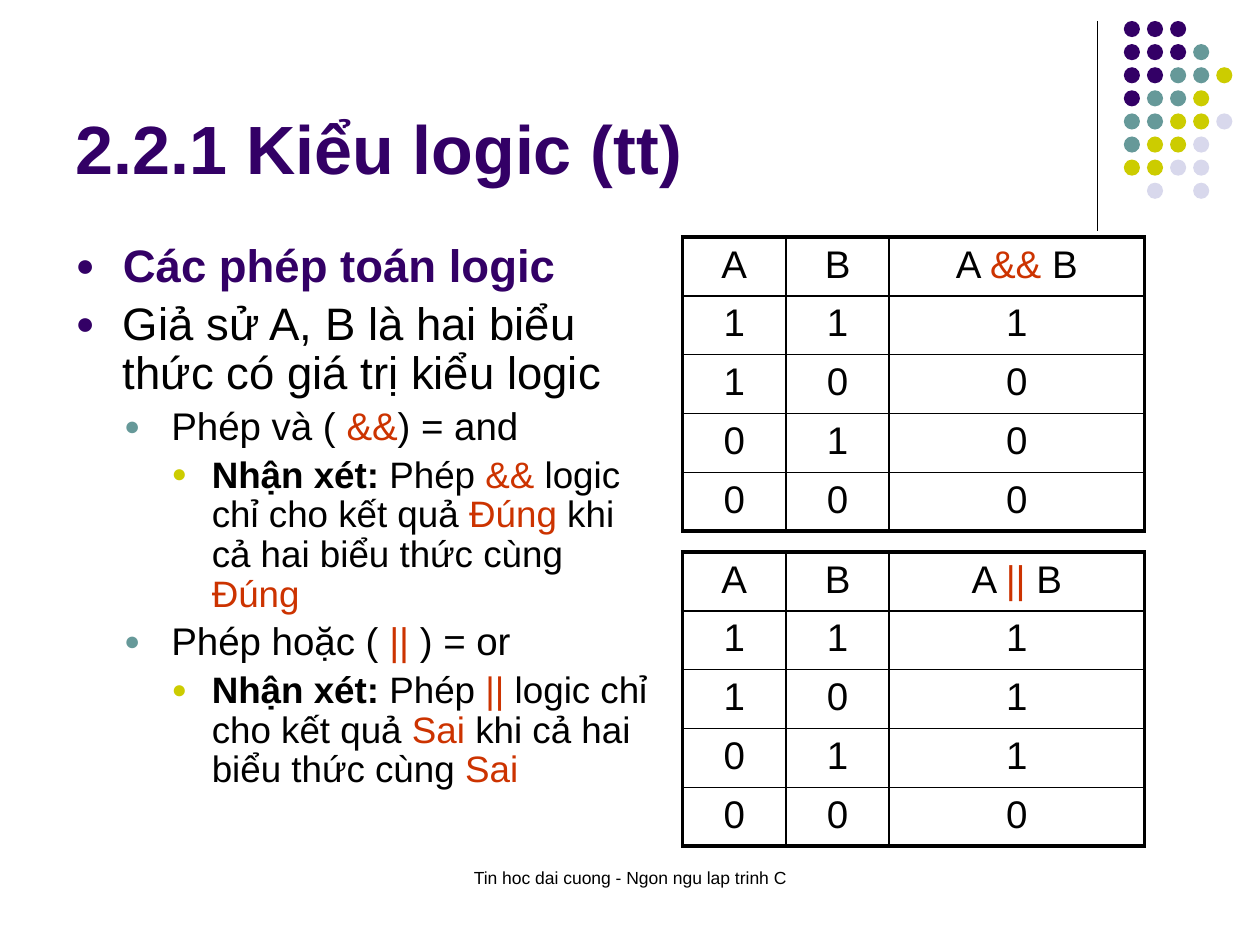
from dataclasses import dataclass
from lxml.etree import SubElement
from pptx import Presentation
from pptx.dml.color import RGBColor
from pptx.enum.shapes import MSO_CONNECTOR, MSO_SHAPE
from pptx.enum.text import MSO_ANCHOR, MSO_AUTO_SIZE, PP_ALIGN
from pptx.oxml.ns import qn
from pptx.util import Pt


@dataclass(frozen=True)
class Theme:
    font: str = "Arial"
    purple: str = "330066"
    teal: str = "669999"
    yellow: str = "CCCC00"
    lilac: str = "D8D8EC"
    black: str = "000000"
    red: str = "CC3300"
    title: int = 39
    body: tuple = (26, 22, 21)
    cell: int = 22
    footer: int = 10


T = Theme()
BULLETS = ((27, 27, T.purple), (54.7, 27, T.teal), (77.8, 23, T.yellow))
DOTS = ("PPP", "PPPT", "PPTTY", "PTTY", "TTYYL", "TYYL", "YYLL", " L L")
DOT_COLORS = {"P": T.purple, "T": T.teal, "Y": T.yellow, "L": T.lilac}
HEADING = {"color": T.purple, "bold": True}
RED = {"color": T.red}
BOLD = {"bold": True}


def apply(obj, **fmt):
    for name, value in fmt.items():
        setattr(obj, name, value)


def place(sp, left, top, width, height):
    apply(sp, left=Pt(left), top=Pt(top), width=Pt(width), height=Pt(height))


def add_runs(p, parts, size):
    for part in parts:
        text, style = part if isinstance(part, tuple) else (part, {})
        r = p.add_run()
        r.text = text
        apply(r.font, name=T.font, size=Pt(size), bold=style.get("bold", False))
        r.font.color.rgb = RGBColor.from_string(style.get("color", T.black))


def add_bullet(p, level):
    left, hang, color = BULLETS[level]
    pPr = p._p.get_or_add_pPr()
    pPr.set("marL", str(Pt(left)))
    pPr.set("indent", str(-Pt(hang)))
    SubElement(SubElement(pPr, qn("a:buClr")), qn("a:srgbClr"), val=color)
    SubElement(pPr, qn("a:buSzPct"), val="70000")
    SubElement(pPr, qn("a:buFont"), typeface=T.font)
    SubElement(pPr, qn("a:buChar"), char="●")


def fill_title(sp, text):
    place(sp, 36, 9.4, 594, 102)
    tf = sp.text_frame
    apply(tf, vertical_anchor=MSO_ANCHOR.BOTTOM, word_wrap=True, auto_size=MSO_AUTO_SIZE.NONE)
    p = tf.paragraphs[0]
    p.alignment = PP_ALIGN.LEFT
    add_runs(p, [(text, HEADING)], T.title)


def fill_body(sp, items):
    place(sp, 36, 135.4, 342, 347)
    tf = sp.text_frame
    apply(tf, word_wrap=True, auto_size=MSO_AUTO_SIZE.NONE, vertical_anchor=MSO_ANCHOR.TOP)
    for i, (level, parts) in enumerate(items):
        p = tf.add_paragraph() if i else tf.paragraphs[0]
        size = T.body[level]
        apply(p, level=level, line_spacing=0.9, space_before=Pt(size * 0.2))
        add_bullet(p, level)
        add_runs(p, parts, size)


def add_footer(slide, text):
    sp = slide.shapes.add_textbox(Pt(246), Pt(492), Pt(228), Pt(36))
    sp.text_frame.word_wrap = True
    p = sp.text_frame.paragraphs[0]
    p.alignment = PP_ALIGN.CENTER
    add_runs(p, [text], T.footer)


def add_rule(slide, x, top, bottom):
    cx = slide.shapes.add_connector(MSO_CONNECTOR.STRAIGHT, Pt(x), Pt(top), Pt(x), Pt(bottom))
    cx.line.width = Pt(0.75)
    cx.line.color.rgb = RGBColor.from_string(T.black)
    SubElement(cx._element.spPr, qn("a:effectLst"))


def add_dots(slide, left, top, pitch, size):
    group = slide.shapes.add_group_shape()
    for row, codes in enumerate(DOTS):
        for col, code in enumerate(codes):
            if code == " ":
                continue
            sp = group.shapes.add_shape(MSO_SHAPE.OVAL, Pt(left + col * pitch),
                                        Pt(top + row * pitch), Pt(size), Pt(size))
            sp.shadow.inherit = False
            sp.fill.solid()
            sp.fill.fore_color.rgb = RGBColor.from_string(DOT_COLORS[code])
            sp.line.fill.background()


def set_borders(cell, widths):
    tcPr = cell._tc.get_or_add_tcPr()
    for side, width in widths.items():
        ln = SubElement(tcPr, qn(f"a:ln{side}"), w=str(Pt(width)))
        SubElement(SubElement(ln, qn("a:solidFill")), qn("a:srgbClr"), val=T.black)


def add_truth_table(slide, top, operator, operation):
    header = [["A"], ["B"], ["A ", (operator, RED), " B"]]
    rows = [header] + [[[str(v)] for v in (a, b, operation(a, b))]
                       for a in (1, 0) for b in (1, 0)]
    widths, height = (59.1, 59.1, 145.8), 33.6
    frame = slide.shapes.add_table(len(rows), len(widths), Pt(390), Pt(top),
                                   Pt(sum(widths)), Pt(height * len(rows)))
    table = frame.table
    apply(table, first_row=False, horz_banding=False)
    for column, width in zip(table.columns, widths):
        column.width = Pt(width)
    for i, row in enumerate(rows):
        table.rows[i].height = Pt(height)
        for j, parts in enumerate(row):
            cell = table.cell(i, j)
            edges = {"L": j == 0, "R": j == len(widths) - 1,
                     "T": i == 0, "B": i == len(rows) - 1}
            set_borders(cell, {side: 2.25 if outer else 1 for side, outer in edges.items()})
            cell.fill.background()
            p = cell.text_frame.paragraphs[0]
            p.alignment = PP_ALIGN.CENTER
            add_runs(p, parts, T.cell)


def main():
    prs = Presentation()
    apply(prs, slide_width=Pt(720), slide_height=Pt(540))
    slide = prs.slides.add_slide(prs.slide_layouts[1])
    title, body = slide.placeholders
    add_rule(slide, 627, 12, 132)
    add_dots(slide, 642.2, 12, 13.2, 9.2)
    add_footer(slide, "Tin hoc dai cuong - Ngon ngu lap trinh C")
    fill_title(title, "2.2.1 Kiểu logic (tt)")
    fill_body(body, [
        (0, [("Các phép toán logic", HEADING)]),
        (0, ["Giả sử A, B là hai biểu thức có giá trị kiểu logic"]),
        (1, ["Phép và ( ", ("&&", RED), ") = and "]),
        (2, [("Nhận xét:", BOLD), " Phép ", ("&&", RED), " logic chỉ cho kết quả ",
             ("Đúng", RED), " khi cả hai biểu thức cùng ", ("Đúng", RED)]),
        (1, ["Phép hoặc ( ", ("||", RED), " ) = or"]),
        (2, [("Nhận xét:", BOLD), " Phép ", ("||", RED), " logic chỉ cho kết quả ",
             ("Sai", RED), " khi cả hai biểu thức cùng", (" Sai", RED)]),
    ])
    add_truth_table(slide, 135.4, "&&", min)
    add_truth_table(slide, 315.4, "||", max)
    prs.save("out.pptx")


main()
